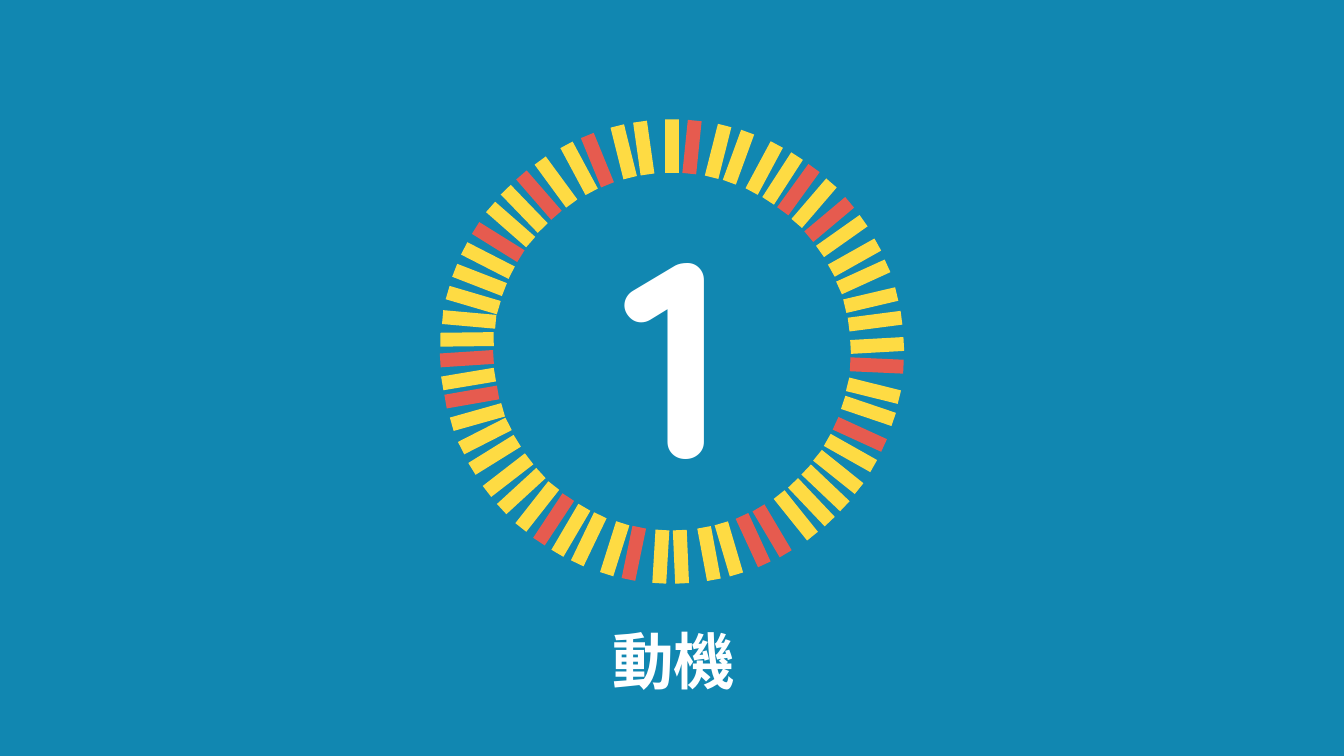
import math
from dataclasses import dataclass

from pptx import Presentation
from pptx import util as u
from pptx.dml.color import RGBColor
from pptx.enum import shapes, text


@dataclass(frozen=True)
class Theme:
    back: str = "1187B1"
    bar: str = "FEDB43"
    accent: str = "E65B4F"
    ink: str = "FFFFFF"
    font: str = "Quicksand"
    number_size: int = 200
    title_size: int = 44


THEME = Theme()
WIDTH, HEIGHT = 13.34, 7.5

# Tilt of each bar in a quarter of the ring, counted from its first bar
FAN = [0, 5.9, 14.2, 20.1, 28.2, 32.9, 35.9, 40.7, 50, 54.8,
       60.7, 65.5, 76.8, 82.6, 83, 88.8]

# Side (right 1, left -1), end (top -1, bottom 1), first tilt, accented bars,
# and the place of each bar in degrees from the vertical
QUARTERS = [
    (1, -1, 0, {2, 7, 9},
     [0, 5.6, 13, 18.9, 26.7, 32.6, 38, 43.8, 50, 55.8, 62.8, 68.7, 75.5, 81.5]),
    (-1, -1, 8.1, {3, 6, 9},
     [7.9, 13.6, 21.3, 26.9, 34.4, 40.4, 46, 51.8, 57.8, 63.7, 69.6, 75.5, 81, 86.6]),
    (1, 1, 10.6, {3, 4, 10, 13},
     [10.4, 16.1, 23.3, 29.2, 37.1, 42.8, 48.4, 54.1, 60.4, 66.2, 73.2, 79, 86.1, 91.7]),
    (-1, 1, -2.5, {3, 7, 14, 16},
     [-2.5, 3.1, 10.7, 16.2, 23.9, 29.5, 35.2, 41, 47.2, 53, 59.8, 65.7, 71.4, 77.2,
      82.3, 88]),
]


def color(code):
    return RGBColor.from_string(code)


def inches(*lengths):
    return [u.Inches(length) for length in lengths]


def centered(middle, top, width, height):
    return middle - width / 2, top, width, height


def write(box, words, size, spacing=None):
    frame = box.text_frame
    frame.vertical_anchor = text.MSO_ANCHOR.TOP
    para = frame.paragraphs[0]
    para.alignment = text.PP_ALIGN.CENTER
    if spacing:
        para.line_spacing = spacing
    span = para.add_run()
    span.text = words
    span.font.name = THEME.font
    span.font.size = u.Pt(size)
    span.font.bold = True
    span.font.color.rgb = color(THEME.ink)


def add_bar(group, center_x, center_y, width, height, tilt, fill):
    bar = group.shapes.add_shape(
        shapes.MSO_SHAPE.RECTANGLE,
        *inches(center_x - width / 2, center_y - height / 2, width, height))
    bar.rotation = tilt % 360
    bar.shadow.inherit = False
    bar.fill.solid()
    bar.fill.fore_color.rgb = color(fill)
    bar.line.fill.background()


def add_ring(group, box):
    """Lay the bars along the inner edge of a square box."""
    left, top, size, _ = box
    middle_x, middle_y = left + size / 2, top + size / 2
    bar_width, bar_height = size * 0.03, size * 0.115
    radius = (size - bar_height) / 2
    for side, end, first_tilt, accents, places in QUARTERS:
        for number, (place, step) in enumerate(zip(places, FAN), 1):
            angle = math.radians(place)
            add_bar(group,
                    middle_x + side * radius * math.sin(angle),
                    middle_y + end * radius * math.cos(angle),
                    bar_width, bar_height,
                    -side * end * (first_tilt + step),
                    THEME.accent if number in accents else THEME.bar)


def add_number(group, box, words):
    number = group.shapes.add_textbox(*inches(*box))
    number.text_frame.word_wrap = False
    write(number, words, THEME.number_size)


def place_title(page, box, words):
    title = page.shapes.title
    title.left, title.top, title.width, title.height = inches(*box)
    title.text_frame.word_wrap = True
    title.text_frame.auto_size = text.MSO_AUTO_SIZE.NONE
    write(title, words, THEME.title_size, spacing=1.1)


def add_section_page(deck, number, words):
    page = deck.slides.add_slide(deck.slide_layouts[5])
    page.background.fill.solid()
    page.background.fill.fore_color.rgb = color(THEME.back)
    middle = WIDTH / 2
    ring_size = HEIGHT * 0.614
    badge = page.shapes.add_group_shape()
    add_ring(badge, centered(middle, HEIGHT * 0.158, ring_size, ring_size))
    add_number(badge, centered(middle + 0.02, HEIGHT * 0.231, 1.77, HEIGHT * 0.463), number)
    place_title(page, centered(middle + 0.02, HEIGHT * 0.808, 2.57, HEIGHT * 0.115), words)


def main():
    deck = Presentation()
    deck.slide_width, deck.slide_height = inches(WIDTH, HEIGHT)
    add_section_page(deck, "1", "動機")
    deck.save("out.pptx")


if __name__ == "__main__":
    main()
